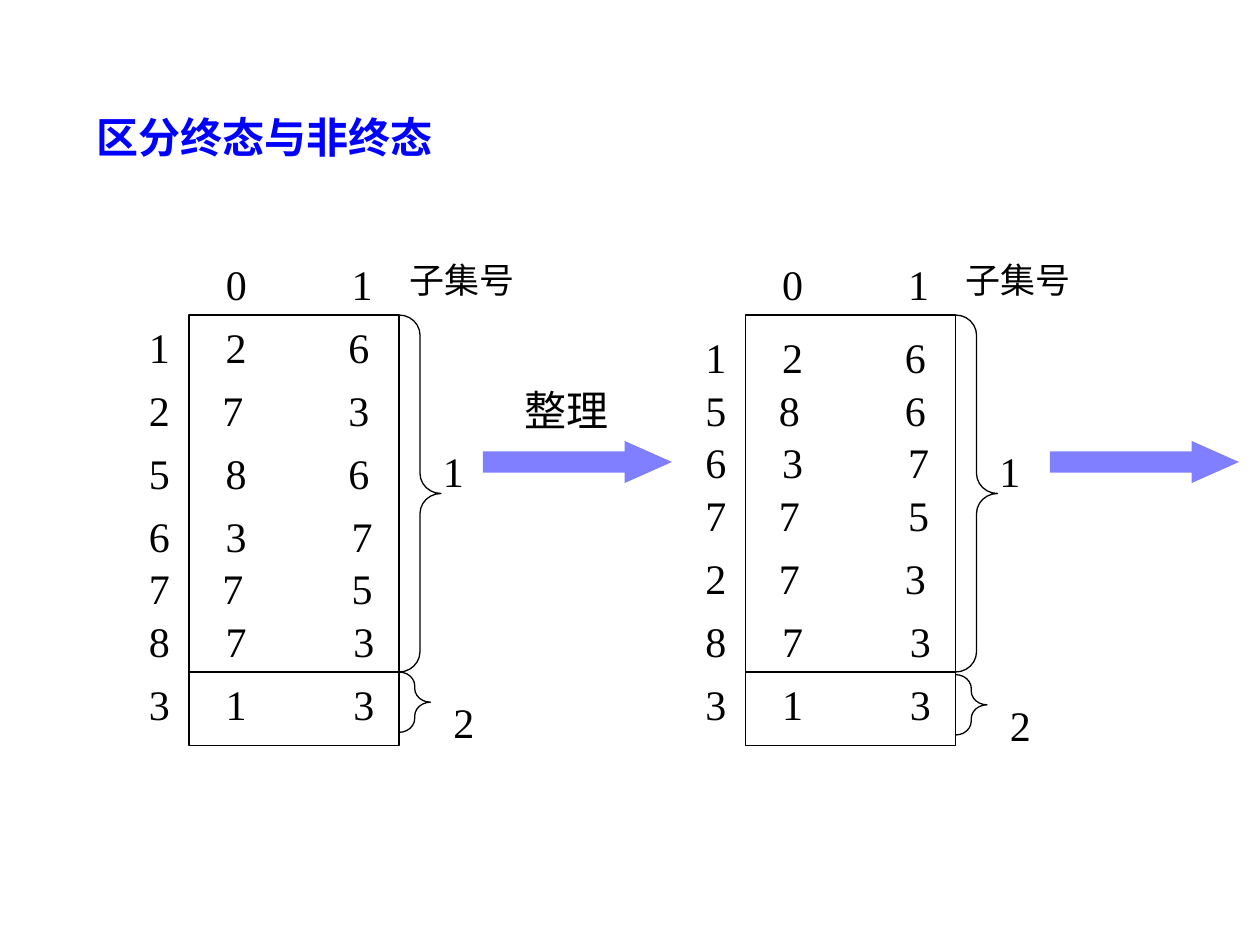
from lxml import etree
from pptx import Presentation
from pptx import util as u
from pptx.dml.color import RGBColor
from pptx.enum import shapes, text
from pptx.oxml import ns

BLUE = RGBColor(0x00, 0x00, 0xFF)
BLACK = RGBColor(0x00, 0x00, 0x00)
SERIF = "Times New Roman"
SANS = "Noto Sans CJK SC"

FRAME_TOP, FRAME_WIDTH, FRAME_HEIGHT = 180, 120, 246
DIVIDER = 384
ROW_HEIGHT = 36
NARROW, MEDIUM, WIDE = 24, 30, 36

# Each row: top, state, (next on 0, box width), (next on 1, box width)
INITIAL_ROWS = [
    (180, "1", ("2", MEDIUM), ("6", NARROW)),
    (216, "2", ("7", NARROW), ("3", NARROW)),
    (252, "5", ("8", MEDIUM), ("6", NARROW)),
    (288, "6", ("3", MEDIUM), ("7", MEDIUM)),
    (318, "7", ("7", NARROW), ("5", MEDIUM)),
    (348, "8", ("7", MEDIUM), ("3", WIDE)),
    (384, "3", ("1", MEDIUM), ("3", WIDE)),
]
SORTED_ROWS = [
    (186, "1", ("2", MEDIUM), ("6", NARROW)),
    (216, "5", ("8", NARROW), ("6", NARROW)),
    (246, "6", ("3", MEDIUM), ("7", MEDIUM)),
    (276, "7", ("7", NARROW), ("5", MEDIUM)),
    (312, "2", ("7", NARROW), ("3", NARROW)),
    (348, "8", ("7", MEDIUM), ("3", WIDE)),
    (384, "3", ("1", MEDIUM), ("3", WIDE)),
]


class Board:
    """Holds the style and the page; canvas is the page or the open group."""

    def __init__(self, page):
        self.page = page
        self.canvas = page.shapes

    def open_group(self):
        self.canvas = self.page.shapes.add_group_shape().shapes

    def close_group(self):
        self.canvas = self.page.shapes

    def add_span(self, para, words, size, color, font, bold=False):
        span = para.add_run()
        span.text = words
        span.font.size = u.Pt(size)
        span.font.bold = bold
        span.font.color.rgb = color
        span.font.name = font
        east_asian = etree.SubElement(span.font._element, ns.qn("a:ea"))
        east_asian.set("typeface", SANS)

    def title(self, words, left, top, width, height):
        box = self.canvas.add_textbox(*map(u.Pt, (left, top, width, height)))
        box.text_frame.word_wrap = False
        self.add_span(box.text_frame.paragraphs[0], words, 24, BLUE, SANS, bold=True)

    def label(self, words, left, top, width, height=ROW_HEIGHT, size=24):
        box = self.canvas.add_textbox(*map(u.Pt, (left, top, width, height)))
        box.text_frame.word_wrap = True
        box.text_frame.auto_size = text.MSO_AUTO_SIZE.SHAPE_TO_FIT_TEXT
        para = box.text_frame.paragraphs[0]
        para.alignment = text.PP_ALIGN.CENTER
        para.space_before = u.Pt(size / 2)
        self.add_span(para, words, size, BLACK, SERIF)

    def shape(self, kind, left, top, width, height, adjustments=()):
        shape = self.canvas.add_shape(kind, *map(u.Pt, (left, top, width, height)))
        shape.shadow.inherit = False
        for index, value in enumerate(adjustments):
            shape.adjustments[index] = value
        return shape

    def outline(self, kind, left, top, width, height, adjustments=()):
        shape = self.shape(kind, left, top, width, height, adjustments)
        shape.fill.background()
        shape.line.color.rgb = BLACK
        shape.line.width = u.Pt(0.75)

    def brace(self, left, top, width, height, curve):
        self.outline(shapes.MSO_SHAPE.RIGHT_BRACE, left, top, width, height, (curve, 0.5))

    def arrow(self, left, top):
        arrow = self.shape(shapes.MSO_SHAPE.RIGHT_ARROW, left, top, 108, 24, (0.5, 1.125))
        arrow.fill.solid()
        arrow.fill.fore_color.rgb = BLUE
        arrow.line.fill.background()
        color = arrow._element.spPr.find(ns.qn("a:solidFill"))[0]
        etree.SubElement(color, ns.qn("a:alpha")).set("val", "50000")

    def line(self, left, right, y):
        line = self.canvas.add_connector(
            shapes.MSO_CONNECTOR.STRAIGHT, u.Pt(left), u.Pt(y), u.Pt(right), u.Pt(y))
        line.line.color.rgb = BLACK
        line.line.width = u.Pt(0.75)
        etree.SubElement(line._element.spPr, ns.qn("a:effectLst"))

    def transitions(self, left, rows, nudge=0):
        """Draw a state table; nudge lowers the mark of subset 2."""
        right = left + FRAME_WIDTH
        self.open_group()
        self.outline(shapes.MSO_SHAPE.RECTANGLE, left, FRAME_TOP, FRAME_WIDTH, FRAME_HEIGHT)
        self.line(left, right, DIVIDER)

        self.label("0", left + 6, 144, 42)
        self.label("1", left + 84, 144, MEDIUM)
        self.label("子集号", right - 6, 144, 84, 31, size=20)

        for top, state, (on_zero, zero_width), (on_one, one_width) in rows:
            self.label(state, left - 30, top, NARROW)
            self.label(on_zero, left + 12, top, zero_width)
            one_left = left + (82 if one_width == WIDE else 84)
            self.label(on_one, one_left, top, one_width)

        self.brace(right, FRAME_TOP, 24, DIVIDER - FRAME_TOP, 0.48)
        self.label("1", right + 18, 251, NARROW)
        self.brace(right, DIVIDER + nudge, 18, 34.5, 0.44)
        self.label("2", right + 24, 394.5 + nudge, NARROW)
        self.close_group()


def main():
    deck = Presentation()
    deck.slide_width, deck.slide_height = u.Pt(720), u.Pt(540)
    board = Board(deck.slides.add_slide(deck.slide_layouts[6]))

    board.title("区分终态与非终态", 48, 60, 258, 342)
    board.open_group()
    board.arrow(276, 252)
    board.label("整理", 282, 216, 84)
    board.close_group()
    board.transitions(108, INITIAL_ROWS)
    board.transitions(426, SORTED_ROWS, nudge=1.5)
    board.arrow(600, 252)
    deck.save("out.pptx")


if __name__ == "__main__":
    main()
